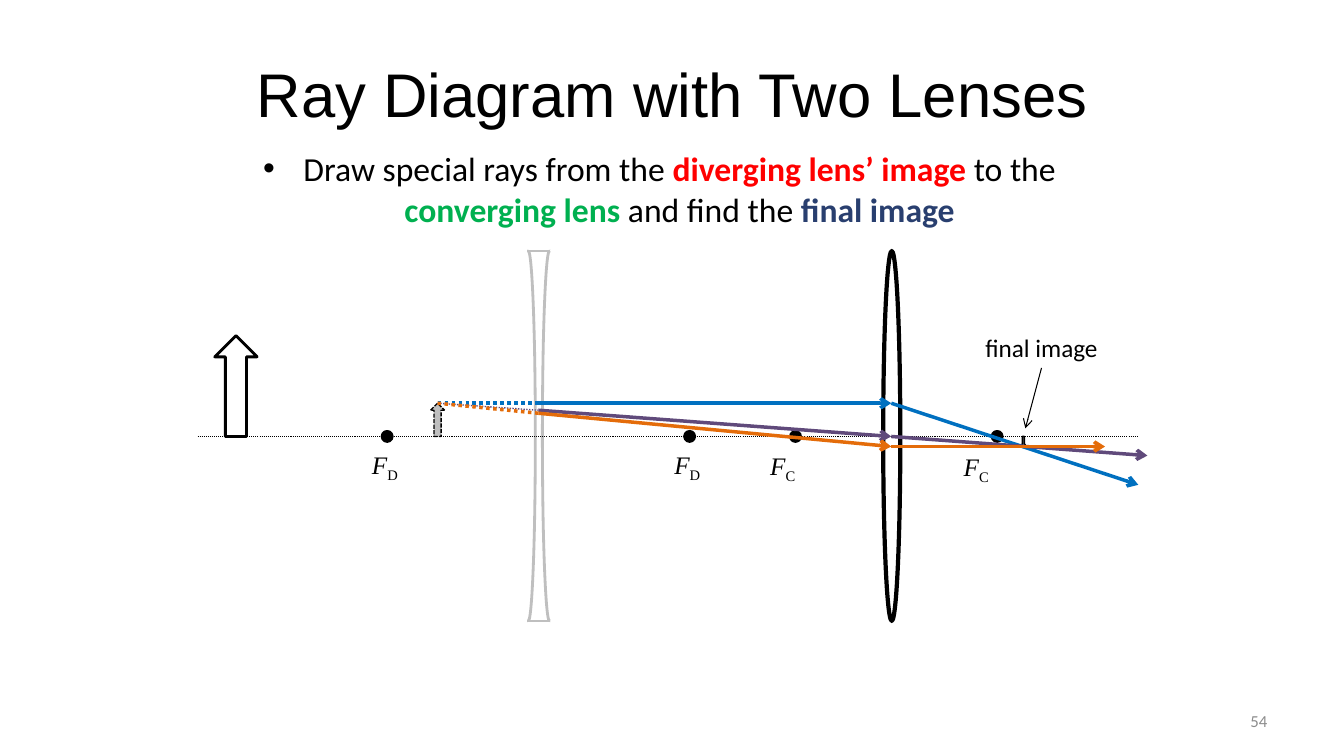
from lxml.etree import SubElement
from pptx import Presentation
from pptx.dml.color import RGBColor
from pptx.enum.dml import MSO_LINE
from pptx.enum.shapes import MSO_CONNECTOR, MSO_SHAPE
from pptx.enum.text import MSO_ANCHOR, MSO_AUTO_SIZE, PP_ALIGN
from pptx.oxml.ns import qn
from pptx.util import Inches, Pt

# Grid: one column or row is one inch
COLUMNS, ROWS = 13.33, 7.5
AXIS = 4.33
DIVERGING, CONVERGING = 5.34, 8.84
LENS_TOP, LENS_HEIGHT = 2.49, 3.67
IMAGE_X, IMAGE_TOP = 4.34, 4.0
BLACK, PALE = "000000", "BFBFBF"
BLUE, PURPLE, ORANGE = "0070C0", "604A7B", "E46C0A"

deck = Presentation()
deck.slide_width, deck.slide_height = Inches(COLUMNS), Inches(ROWS)
slide = deck.slides.add_slide(deck.slide_layouts[6])
shapes = slide.shapes


def rgb(value):
    return RGBColor.from_string(value)


def add_text(box, runs, font, size, align=PP_ALIGN.LEFT, anchor=MSO_ANCHOR.TOP, grow=True):
    """Write runs of (text, colour, bold) in a box and return the paragraph."""
    frame = shapes.add_textbox(*map(Inches, box)).text_frame
    frame.word_wrap = True
    frame.vertical_anchor = anchor
    frame.auto_size = MSO_AUTO_SIZE.SHAPE_TO_FIT_TEXT if grow else MSO_AUTO_SIZE.NONE
    paragraph = frame.paragraphs[0]
    paragraph.alignment = align
    for text, colour, bold in runs:
        run = paragraph.add_run()
        run.text = text
        run.font.color.rgb = rgb(colour)
        run.font.bold = bold
    return paragraph, font, size


# Heading, statement, label and page number
statement = [
    ("Draw special rays from the ", BLACK, False),
    ("diverging lens’ image ", "FF0000", True),
    ("to the ", BLACK, False),
    ("converging lens ", "00B050", True),
    ("and find the ", BLACK, False),
    ("final image", "293F6F", True),
]
heading_text = add_text((0.67, 0.3, 12, 1.25), [("Ray Diagram with Two Lenses", BLACK, False)],
                        "Arial", 44, PP_ALIGN.CENTER, MSO_ANCHOR.MIDDLE, False)
statement_text = add_text((2.17, 1.42, 9, 0.91), statement, "Calibri", 24, PP_ALIGN.CENTER)
label_text = add_text((9.58, 3.25, 1.5, 0.4), [("final image", BLACK, False)],
                      "Calibri", 18, PP_ALIGN.CENTER)
page_text = add_text((9.56, 6.95, 3.11, 0.4), [("54", "8C8C8C", False)],
                     "Calibri", 12, PP_ALIGN.RIGHT, MSO_ANCHOR.MIDDLE, False)

# Bullet of the statement
bullet = statement_text[0]._p.get_or_add_pPr()
for side, length in (("marL", 0.4), ("marR", 0.26), ("indent", -0.4)):
    bullet.set(side, str(Inches(length)))
SubElement(bullet, qn("a:buFont")).set("typeface", "Arial")
SubElement(bullet, qn("a:buChar")).set("char", "•")

# Names of the focal points
focal_texts = []
for lens, left, top, width in (("D", 3.59, 4.41, 0.57), ("D", 6.59, 4.41, 0.53),
                               ("C", 7.54, 4.42, 0.5), ("C", 9.46, 4.43, 0.58)):
    focal = add_text((left, top, width, 0.4), [("F", BLACK, False), (lens, BLACK, False)],
                     "Times New Roman", 18)
    letter, subscript = focal[0].runs
    letter.font.italic = True
    subscript._r.get_or_add_rPr().set("baseline", "-25000")
    focal_texts.append(focal)

for paragraph, font, size in [heading_text, statement_text, label_text, page_text, *focal_texts]:
    paragraph.font.name = font
    paragraph.font.size = Pt(size)

# Object, images, focal points and lenses: kind, box, fill, line, width, dash, rotation
arrow, dot, arc = MSO_SHAPE.DOWN_ARROW, MSO_SHAPE.OVAL, MSO_SHAPE.ARC
figures = [
    (arrow, (4.27, IMAGE_TOP, 0.14, 0.33), PALE, BLACK, 1, MSO_LINE.SQUARE_DOT, 180),
    (arrow, (2.13, AXIS - 1, 0.42, 1), None, BLACK, 2, None, 180),
    (arrow, (10.13, AXIS, 0.04, 0.1), "A6A6A6", BLACK, 1, None, 0),
    (dot, (8.76, LENS_TOP, 0.17, LENS_HEIGHT), None, BLACK, 3, None, 0),
    (arc, (5.17, LENS_TOP, 0.14, LENS_HEIGHT), None, PALE, 2, None, 0),
    (arc, (5.38, LENS_TOP, 0.14, LENS_HEIGHT), None, PALE, 2, None, 0),
]
figures += [(dot, (left, AXIS - 0.05, 0.1, 0.1), BLACK, BLACK, 2, None, 0)
            for left in (3.79, 6.79, 7.84, 9.84)]
for kind, box, fill, colour, width, dash, rotation in figures:
    figure = shapes.add_shape(kind, *map(Inches, box))
    figure.shadow.inherit = False
    figure.rotation = rotation
    if fill:
        figure.fill.solid()
        figure.fill.fore_color.rgb = rgb(fill)
    else:
        figure.fill.background()
    figure.line.color.rgb = rgb(colour)
    figure.line.width = Pt(width)
    if dash:
        figure.line.dash_style = dash
    if kind == arc:
        figure.adjustments[0], figure.adjustments[1] = 161.953, 54.052
        if box[0] > DIVERGING:
            figure._element.spPr.get_or_add_xfrm().set("flipH", "1")

# Axis, lens edges, rays and pointer: start, end, colour, width, dotted, arrowhead
lines = [((1.96, AXIS), (11.29, AXIS), BLACK, 0.75, True, False)]
lines += [((5.23, y), (5.45, y), PALE, 2, False, False)
          for y in (LENS_TOP, LENS_TOP + LENS_HEIGHT)]
# Each ray: colour, dotted width, height at both lenses, far end
for colour, dotted_width, first, second, end in (
        (BLUE, 2.5, IMAGE_TOP, IMAGE_TOP, (11.29, 4.81)),
        (PURPLE, 1, 4.07, AXIS, (11.38, 4.52)),
        (ORANGE, 2.5, 4.1, 4.43, (10.96, 4.43))):
    at_diverging, at_converging = (DIVERGING, first), (CONVERGING, second)
    lines += [
        ((IMAGE_X, IMAGE_TOP), at_diverging, colour, dotted_width, True, False),
        (at_diverging, at_converging, colour, 2.5, False, True),
        (at_converging, end, colour, 2.5, False, True),
    ]
lines.append(((10.33, 3.65), (10.17, 4.25), BLACK, 0.75, False, True))

for start, end, colour, width, dotted, pointed in lines:
    line = shapes.add_connector(MSO_CONNECTOR.STRAIGHT, *map(Inches, start + end))
    line.line.color.rgb = rgb(colour)
    line.line.width = Pt(width)
    if dotted:
        line.line.dash_style = MSO_LINE.ROUND_DOT
    if pointed:
        SubElement(line.line._get_or_add_ln(), qn("a:tailEnd")).set("type", "arrow")
    SubElement(line._element.spPr, qn("a:effectLst"))

deck.save("out.pptx")
